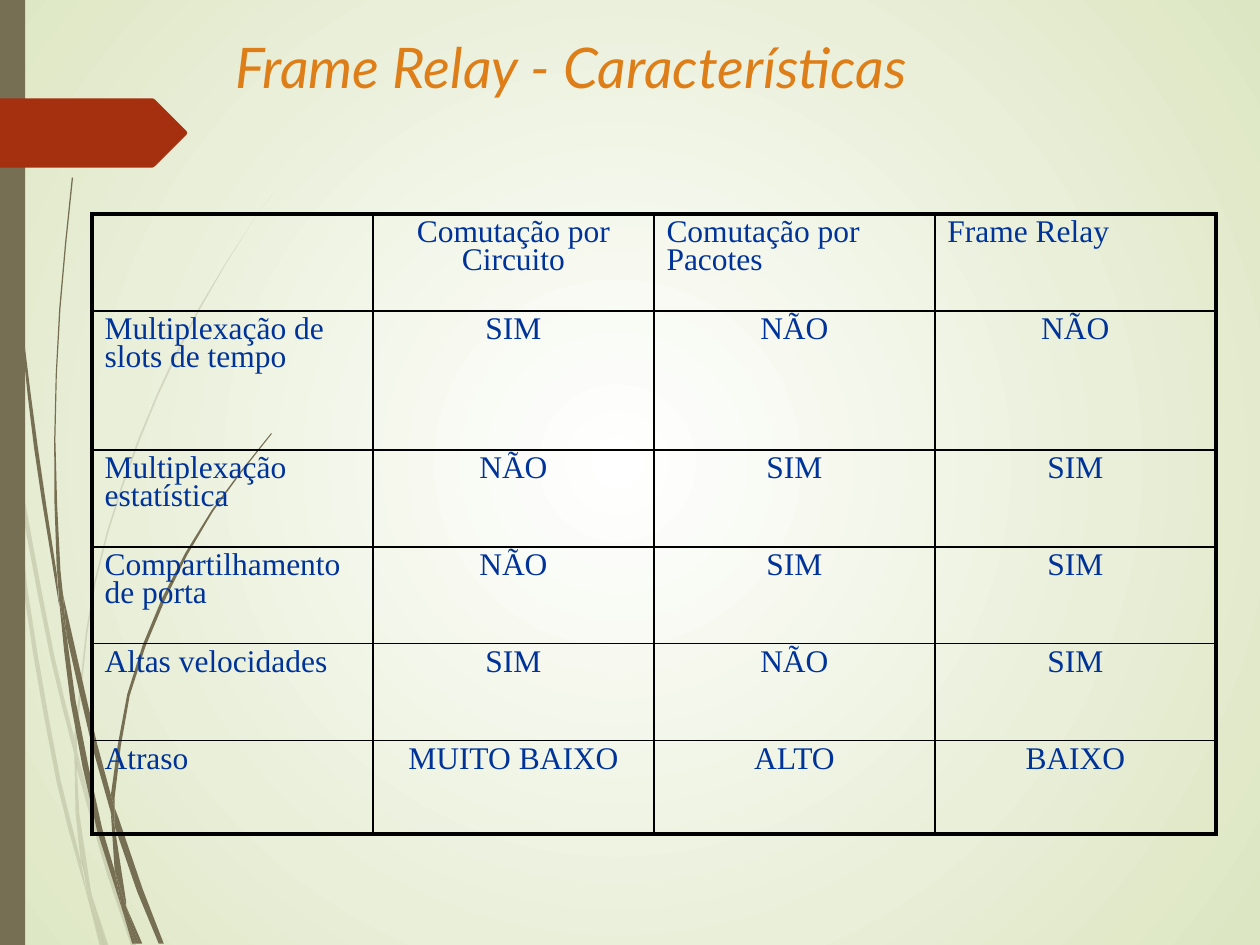
from dataclasses import dataclass
from math import hypot

from pptx import Presentation
from pptx.dml.color import RGBColor
from pptx.enum.shapes import MSO_SHAPE as Shape
from pptx.enum.text import MSO_AUTO_SIZE as AutoSize, PP_ALIGN as Align
from pptx.oxml import parse_xml
from pptx.oxml.ns import nsdecls, qn
from pptx.oxml.xmlchemy import OxmlElement
from pptx.util import Pt

TAUPE = RGBColor(0x76, 0x6F, 0x54)
RUST = RGBColor(0xA5, 0x30, 0x10)
ORANGE = RGBColor(0xDE, 0x7E, 0x18)
BLUE = RGBColor(0x00, 0x33, 0x99)
BLACK = RGBColor(0x00, 0x00, 0x00)
WHITE = RGBColor(0xFF, 0xFF, 0xFF)
PALE_GREEN = RGBColor(0xDD, 0xE6, 0xC3)

GRID = 0.72
STEP_LENGTH = 45
THICK, THIN = 2.21, 0.96
COLUMN_WIDTH = 160.56
ROW_HEIGHTS = (55.44, 79.2, 55.44, 55.44, 55.44, 53.28)

Point = tuple[float, float]
Edge = list[Point]


@dataclass
class Wisp:
    edges: list[Edge]


@dataclass
class Row:
    label: str
    values: tuple[str, str, str]
    alignments: tuple = (Align.CENTER,) * 3


PALE_WISPS = [
    Wisp([[(8, 350), (6, 322), (0, 282)], [(0, 299), (7, 344)]]),
    Wisp([[(12, 376), (40, 522), (59, 599)], [(59, 586), (43, 520), (10, 345)]]),
    Wisp([[(61, 610), (85, 694), (104, 750)],
          [(108, 750), (88, 691), (64, 607), (61, 596)]]),
    Wisp([[(83, 750), (86, 750)], [(73, 711)]]),
    Wisp([[(8, 350), (12, 376), (22, 469), (48, 619), (64, 683), (70, 714)],
          [(64, 693), (45, 621), (19, 470), (8, 350)]]),
    Wisp([[(59, 599), (60, 646), (64, 683), (73, 711)],
          [(72, 706), (63, 646), (61, 608)]]),
    Wisp([[(61, 596), (61, 584), (76, 462), (111, 349), (159, 245), (201, 175),
           (217, 153)],
          [(201, 175), (158, 244), (110, 348), (75, 461), (59, 584)]]),
    Wisp([[(70, 714), (79, 750)], [(82, 750)]]),
    Wisp([[(61, 610), (61, 596)], [(59, 586), (59, 599)]]),
    Wisp([[(65, 683), (70, 714), (82, 750)], [(83, 750), (73, 711), (67, 692)]]),
]

DARK_WISPS = [
    Wisp([[(2, 0), (5, 110), (14, 233), (27, 355), (47, 481)],
          [(45, 455), (30, 355), (15, 232), (6, 109), (3, 0)]]),
    Wisp([[(53, 505), (73, 592), (88, 645)], [(88, 631), (77, 590), (50, 472)]]),
    Wisp([[(91, 656), (109, 708), (126, 749)],
          [(130, 749), (113, 705), (94, 649), (91, 641)]]),
    Wisp([[(47, 477), (56, 557), (77, 659), (97, 722)],
          [(91, 691), (81, 657), (60, 556), (53, 505)]]),
    Wisp([[(50, 472), (48, 453), (44, 349), (48, 245), (58, 141)],
          [(57, 141), (47, 245), (43, 349), (45, 449), (49, 471)]]),
    Wisp([[(110, 749), (113, 749)], [(100, 719)]]),
    Wisp([[(47, 477), (53, 505)], [(50, 472), (45, 449)]]),
    Wisp([[(91, 641), (91, 633), (103, 552), (131, 476), (169, 406), (216, 344)],
          [(215, 344), (168, 405), (129, 474), (101, 551), (88, 631)]]),
    Wisp([[(97, 722), (105, 749)], [(108, 749)]]),
    Wisp([[(88, 645), (91, 691), (100, 719)], [(100, 715), (91, 656)]]),
    Wisp([[(88, 645), (91, 656)], [(91, 641), (88, 631)]]),
    Wisp([[(91, 691), (97, 722), (108, 749)], [(110, 749), (100, 719)]]),
]

ARROW = [(0, 78), (121, 78), (123, 79), (148, 104), (148.5, 105.5), (148, 107),
         (123, 132), (121, 133), (0, 133)]

ROWS = [
    Row("", ("Comutação por Circuito", "Comutação por Pacotes", "Frame Relay"),
        (Align.CENTER, Align.LEFT, Align.LEFT)),
    Row("Multiplexação de slots de tempo", ("SIM", "NÃO", "NÃO")),
    Row("Multiplexação estatística", ("NÃO", "SIM", "SIM")),
    Row("Compartilhamento de porta", ("NÃO", "SIM", "SIM")),
    Row("Altas velocidades", ("SIM", "NÃO", "SIM")),
    Row("Atraso", ("MUITO BAIXO", "ALTO", "BAIXO")),
]


def write_text(frame, text: str, *, font: str, size: float, color: RGBColor,
               italic: bool = False, align=Align.LEFT, spacing: float = 1.0) -> None:
    paragraph = frame.paragraphs[0]
    paragraph.alignment = align
    paragraph.line_spacing = spacing
    if text:
        run = paragraph.add_run()
        run.text = text
        run.font.name = font
        run.font.size = Pt(size)
        run.font.color.rgb = color
        run.font.italic = italic


def smooth(edge: Edge) -> Edge:
    def direction(index: int) -> Point:
        before, after = edge[max(index - 1, 0)], edge[min(index + 1, len(edge) - 1)]
        dx, dy = after[0] - before[0], after[1] - before[1]
        length = hypot(dx, dy) or 1
        return dx / length, dy / length

    points = [edge[0]]
    for index, (start, end) in enumerate(zip(edge, edge[1:])):
        length = hypot(end[0] - start[0], end[1] - start[1])
        handle = length / 3
        steps = max(1, round(length / STEP_LENGTH))
        leaving, arriving = direction(index), direction(index + 1)
        for step in range(1, steps + 1):
            t = step / steps
            u = 1 - t
            points.append(tuple(
                u**3 * a + 3 * u * u * t * (a + handle * p)
                + 3 * u * t * t * (b - handle * q) + t**3 * b
                for a, b, p, q in zip(start, end, leaving, arriving)))
    return points


def paint(shape, color: RGBColor, opacity: int = 100) -> None:
    shape.shadow.inherit = False
    shape.fill.solid()
    shape.fill.fore_color.rgb = color
    shape.line.fill.background()
    if opacity < 100:
        alpha = OxmlElement("a:alpha")
        alpha.set("val", str(opacity * 1000))
        shape.element.spPr.find(".//" + qn("a:srgbClr")).append(alpha)


def draw_outline(slide, points: Edge, color: RGBColor, opacity: int = 100) -> None:
    corners = [(Pt(x * GRID), Pt(y * GRID)) for x, y in points]
    builder = slide.shapes.build_freeform(*corners[0])
    builder.add_line_segments(corners[1:], close=True)
    paint(builder.convert_to_shape(), color, opacity)


def draw_wisps(slide, wisps: list[Wisp], opacity: int) -> None:
    for wisp in wisps:
        points = [point for edge in wisp.edges for point in smooth(edge)]
        draw_outline(slide, points, TAUPE, opacity)


def set_background(slide) -> None:
    slide.background.fill.solid()
    properties = slide.element.find(".//" + qn("p:bgPr"))
    stops = "".join(f'<a:gs pos="{position}"><a:srgbClr val="{color}"/></a:gs>'
                    for position, color in ((0, WHITE), (100000, PALE_GREEN)))
    gradient = parse_xml(
        f'<a:gradFill {nsdecls("a")} rotWithShape="1"><a:gsLst>{stops}</a:gsLst>'
        '<a:path path="circle"><a:fillToRect l="49000" t="49000" r="51000" b="51000"/>'
        '</a:path></a:gradFill>')
    properties.replace(properties.find(qn("a:solidFill")), gradient)


def set_borders(cell, widths: dict[str, float]) -> None:
    properties = cell._tc.get_or_add_tcPr()
    for side, width in widths.items():
        properties.append(parse_xml(
            f'<a:ln{side} {nsdecls("a")} w="{Pt(width)}"><a:solidFill>'
            f'<a:srgbClr val="{BLACK}"/></a:solidFill></a:ln{side}>'))


def draw_table(slide, rows: list[Row]) -> None:
    columns = len(rows[0].values) + 1
    table = slide.shapes.add_table(
        len(rows), columns, Pt(52.56), Pt(122.4),
        Pt(COLUMN_WIDTH * columns), Pt(sum(ROW_HEIGHTS))).table
    table.first_row = table.horz_banding = False
    for column in table.columns:
        column.width = Pt(COLUMN_WIDTH)
    for y, (row, height) in enumerate(zip(rows, ROW_HEIGHTS)):
        table.rows[y].height = Pt(height)
        contents = zip((row.label, *row.values), (Align.LEFT, *row.alignments))
        for x, (text, align) in enumerate(contents):
            cell = table.cell(y, x)
            outer = {"L": x == 0, "R": x == columns - 1,
                     "T": y == 0, "B": y == len(rows) - 1}
            set_borders(cell, {side: THICK if edge else THIN
                               for side, edge in outer.items()})
            cell.fill.background()
            write_text(cell.text_frame, text, font="Times New Roman", size=18,
                       color=BLUE, align=align, spacing=0.8)


def draw_title(slide) -> None:
    box = slide.shapes.add_textbox(Pt(127.44), Pt(15.12), Pt(578.16), Pt(46.08))
    box.text_frame.word_wrap = True
    box.text_frame.auto_size = AutoSize.SHAPE_TO_FIT_TEXT
    write_text(box.text_frame, "Frame Relay - Características", font="Lato",
               size=32, color=ORANGE, italic=True)


def main() -> None:
    presentation = Presentation()
    presentation.slide_width, presentation.slide_height = Pt(720), Pt(540)
    slide = presentation.slides.add_slide(presentation.slide_layouts[6])
    set_background(slide)
    draw_wisps(slide, PALE_WISPS, opacity=20)
    draw_wisps(slide, DARK_WISPS, opacity=100)
    paint(slide.shapes.add_shape(Shape.RECTANGLE, 0, 0, Pt(14.4), Pt(540)), TAUPE)
    draw_outline(slide, ARROW, RUST)
    draw_table(slide, ROWS)
    draw_title(slide)
    presentation.save("out.pptx")


if __name__ == "__main__":
    main()
